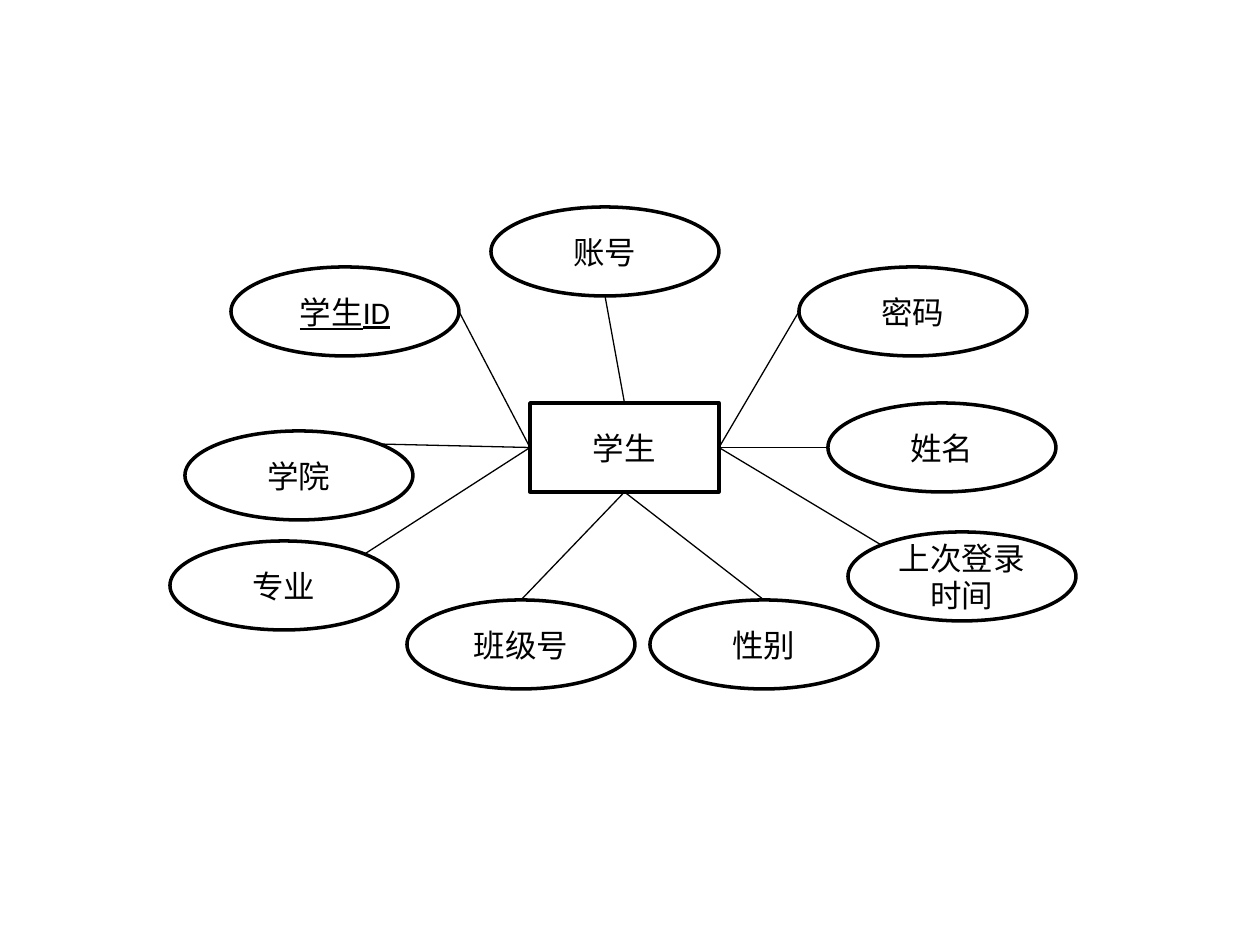
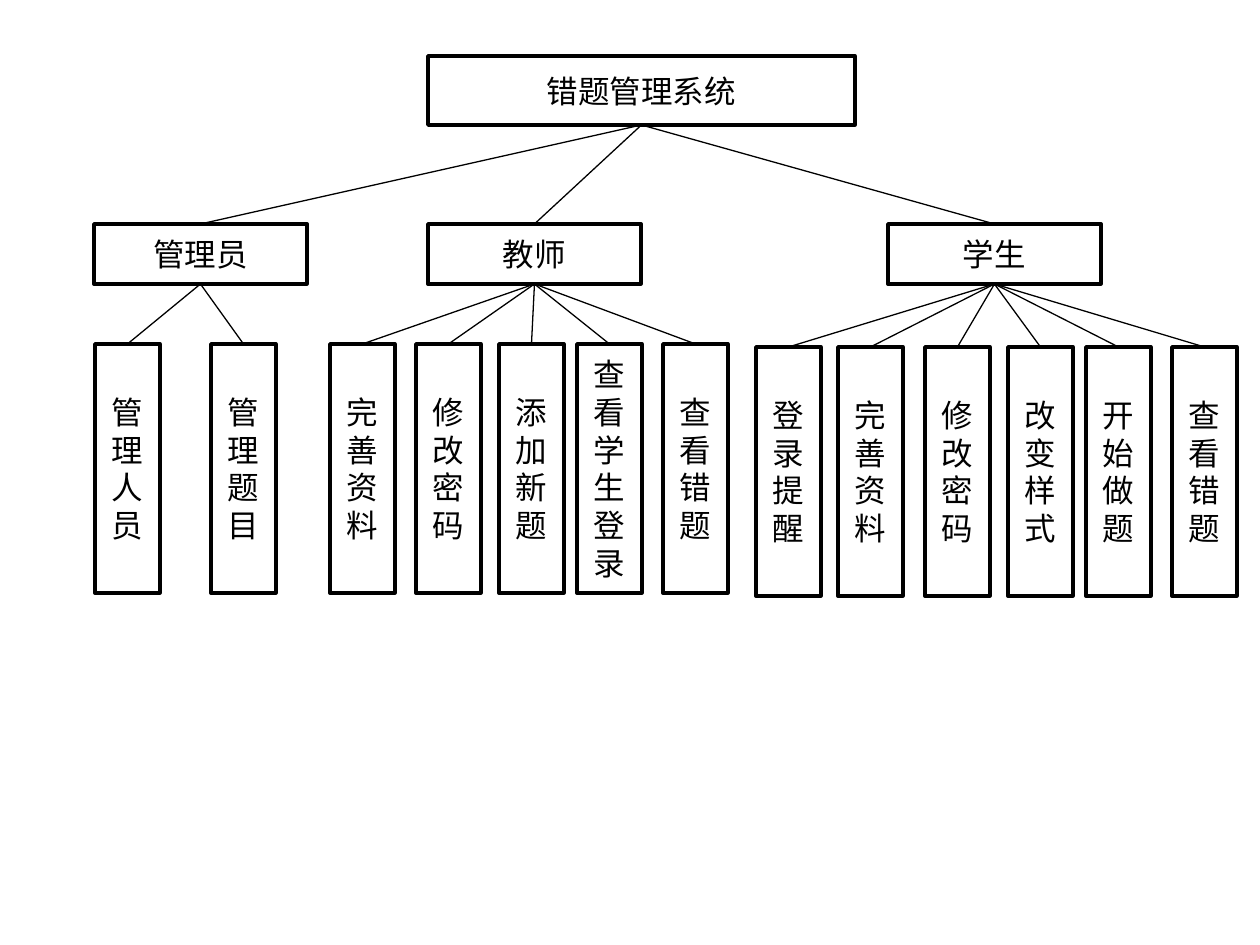
from math import cos, radians, sin

from lxml import etree
from pptx import Presentation
from pptx.dml.color import RGBColor
from pptx.enum.shapes import MSO_CONNECTOR, MSO_SHAPE
from pptx.enum.text import MSO_ANCHOR, PP_ALIGN
from pptx.oxml.ns import qn
from pptx.util import Pt

RECTANGLE, OVAL = MSO_SHAPE.RECTANGLE, MSO_SHAPE.OVAL
STRAIGHT = MSO_CONNECTOR.STRAIGHT
MIDDLE, CENTER = MSO_ANCHOR.MIDDLE, PP_ALIGN.CENTER
TOP, LEFT, BOTTOM, RIGHT = range(4)

COLORS = {"ink": "000000", "paper": "FFFFFF"}
FONT = "Calibri"
TEXT_SIZE = 18
OUTLINE, LINK = 2, 0.75

ENTITY = ("学生", (530, 403, 189, 89))
ATTRIBUTE_SIZE = (228, 89)
ATTRIBUTES = [
    # label, left, top, entity side, angle on the oval, key
    ("学生ID", 231, 267, LEFT, 0, True),
    ("密码", 799, 267, RIGHT, 180, False),
    ("账号", 491, 207, TOP, 90, False),
    ("学院", 185, 431, LEFT, -45, False),
    ("姓名", 828, 403, RIGHT, 180, False),
    ("班级号", 407, 600, BOTTOM, -90, False),
    ("性别", 650, 600, BOTTOM, -90, False),
    ("专业", 170, 541, LEFT, -45, False),
    ("上次登录时间", 848, 532, RIGHT, -135, False),
]

SYSTEM = ("错题管理系统", (428, 56, 427, 69))
ROLE_TOP, ROLE_SIZE = 224, (213, 60)
FEATURE_SIZE = (65, 249)
ROLES = [
    {"label": "管理员", "left": 94, "feature_top": 344,
     "features": [("管理人员", 95), ("管理题目", 211)]},
    {"label": "教师", "left": 428, "feature_top": 344,
     "features": [("完善资料", 330), ("修改密码", 416), ("添加新题", 499),
                  ("查看学生登录", 577), ("查看错题", 663)]},
    {"label": "学生", "left": 888, "feature_top": 347,
     "features": [("登录提醒", 756), ("完善资料", 838), ("修改密码", 925),
                  ("改变样式", 1008), ("开始做题", 1086), ("查看错题", 1172)]},
]


def px(length):
    return round(length * 914400 / 126)


def color(name):
    return RGBColor.from_string(COLORS[name])


def add_page(deck):
    page = deck.slides.add_slide(deck.slide_layouts[6])
    page.background.fill.solid()
    page.background.fill.fore_color.rgb = color("paper")
    return page


def add_node(page, kind, label, frame, underline=False):
    node = page.shapes.add_shape(kind, *map(px, frame))
    node.shadow.inherit = False
    node.fill.background()
    node.line.color.rgb = color("ink")
    node.line.width = Pt(OUTLINE)
    node.text_frame.word_wrap = True
    node.text_frame.vertical_anchor = MIDDLE
    para = node.text_frame.paragraphs[0]
    para.alignment = CENTER
    span = para.add_run()
    span.text = label
    span.font.name = FONT
    span.font.size = Pt(TEXT_SIZE)
    span.font.color.rgb = color("ink")
    if underline:
        span.font.underline = True
    return node


def add_link(page, source, side, end=(0, 0)):
    link = page.shapes.add_connector(STRAIGHT, 0, 0, *map(px, end))
    link.line.color.rgb = color("ink")
    link.line.width = Pt(LINK)
    properties = link._element.spPr
    etree.SubElement(properties, qn("a:effectLst"))
    link.begin_connect(source, side)
    return link


def oval_point(left, top, angle):
    width, height = ATTRIBUTE_SIZE
    return (left + width / 2 * (1 + cos(radians(angle))),
            top + height / 2 * (1 + sin(radians(angle))))


def build_entity_page(deck):
    page = add_page(deck)
    entity = add_node(page, RECTANGLE, *ENTITY)
    for label, left, top, side, angle, key in ATTRIBUTES:
        add_node(page, OVAL, label, (left, top, *ATTRIBUTE_SIZE), key)
        add_link(page, entity, side, oval_point(left, top, angle))


def add_child(page, parent, label, frame):
    child = add_node(page, RECTANGLE, label, frame)
    add_link(page, parent, BOTTOM).end_connect(child, TOP)
    return child


def build_system_page(deck):
    page = add_page(deck)
    system = add_node(page, RECTANGLE, *SYSTEM)
    for role in ROLES:
        role_box = add_child(page, system, role["label"],
                             (role["left"], ROLE_TOP, *ROLE_SIZE))
        for label, left in role["features"]:
            add_child(page, role_box, label,
                      (left, role["feature_top"], *FEATURE_SIZE))


def main():
    deck = Presentation()
    deck.slide_width, deck.slide_height = px(1260), px(945)
    build_entity_page(deck)
    build_system_page(deck)
    deck.save("out.pptx")


if __name__ == "__main__":
    main()
